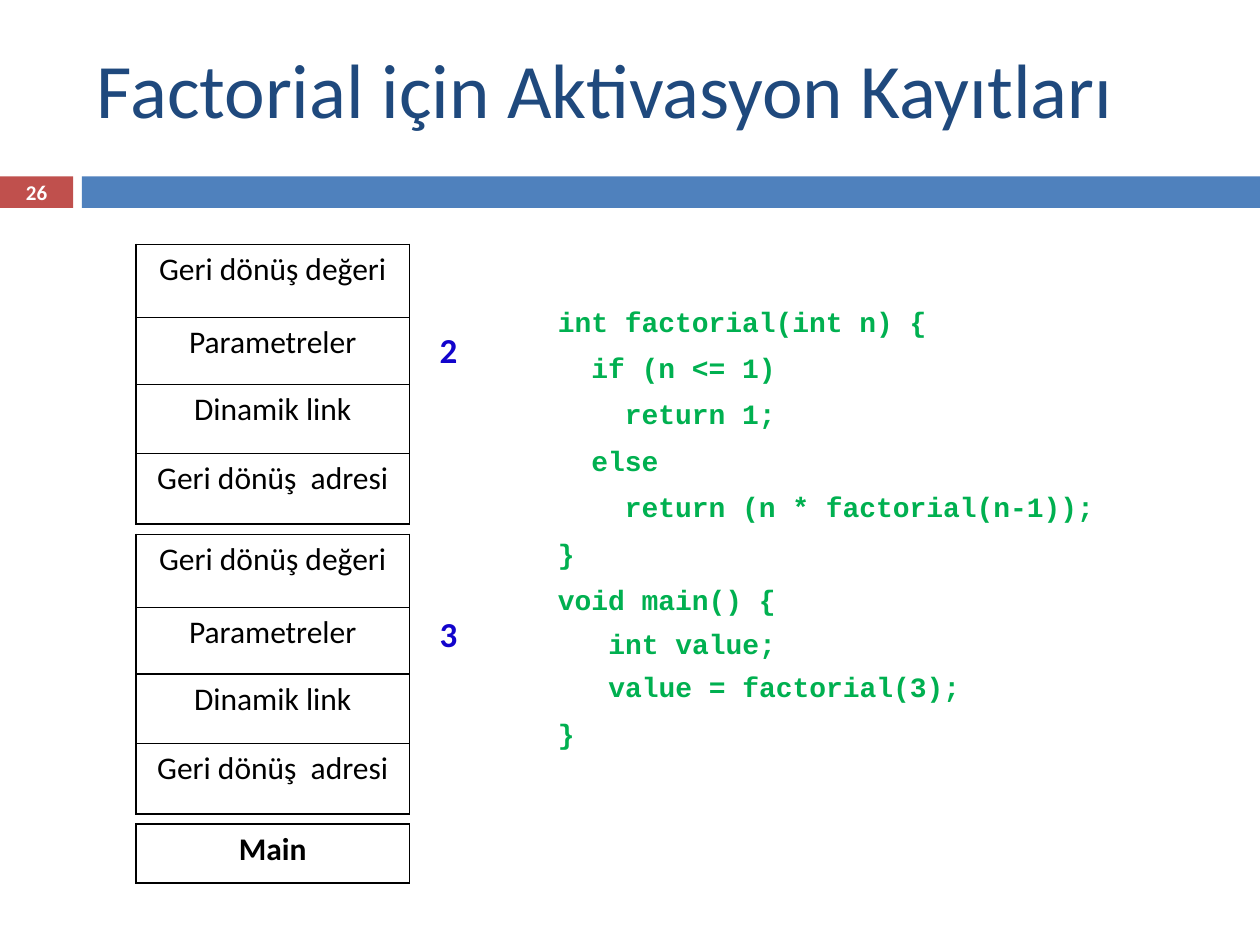
from dataclasses import dataclass

from lxml import etree
from pptx import Presentation
from pptx.dml.color import RGBColor
from pptx.enum.shapes import MSO_SHAPE
from pptx.enum.text import MSO_ANCHOR, PP_ALIGN
from pptx.oxml.ns import qn
from pptx.util import Inches, Pt

RECTANGLE = MSO_SHAPE.RECTANGLE
TOP, MIDDLE = MSO_ANCHOR.TOP, MSO_ANCHOR.MIDDLE
LEFT, CENTER = PP_ALIGN.LEFT, PP_ALIGN.CENTER


@dataclass(frozen=True)
class Theme:
    font: str = "Calibri"
    code_font: str = "Courier New"
    title: str = "1F497D"
    marker: str = "C0504D"
    band: str = "4F81BD"
    code: str = "00B050"
    argument: str = "1204CC"
    ink: str = "000000"
    paper: str = "FFFFFF"
    title_size: float = 44
    argument_size: float = 20
    record_size: float = 18
    code_size: float = 16
    number_size: float = 12
    code_line: float = 19.5
    border: float = 1


THEME = Theme()
WIDTH, HEIGHT = 10, 7.5
BAND_TOP, BAND_HEIGHT = 1.4, 0.25
MARKER_WIDTH, BAND_LEFT = 0.58, 0.65
RECORD_LEFT, RECORD_WIDTH = 1.08, 2.17
RECORD_TOP, RECORD_GAP = 1.94, 0.08
RECORD_ROWS = (0.58, 0.53, 0.55, 0.56)
MAIN_ROWS = (0.47,)
ARGUMENT_LEFT = 3.39

FIELDS = ("Geri dönüş değeri", "Parametreler", "Dinamik link", "Geri dönüş  adresi")
# Outline level and text of each code line
CODE = (
    (0, "int factorial(int n) {"),
    (0, "  if (n <= 1)"),
    (0, "    return 1;"),
    (0, "  else"),
    (0, "    return (n * factorial(n-1));"),
    (0, "}"),
    (0, "void main() {"),
    (1, "int value;"),
    (1, "value = factorial(3);"),
    (0, "}"),
)
# Left margin, first-line indent (inches) and space before (points) by level
CODE_LEVELS = ((0.35, -0.35, 7), (0.7, -0.3, 5.5))


def inches(box):
    return [Inches(length) for length in box]


def style(paragraph, size, color, bold=False, font=THEME.font, align=LEFT):
    paragraph.alignment = align
    paragraph.font.name = font
    paragraph.font.size = Pt(size)
    paragraph.font.bold = bold
    paragraph.font.color.rgb = RGBColor.from_string(color)


def add_frame(slide, box, anchor=TOP, wrap=True, top_inset=0.05):
    frame = slide.shapes.add_textbox(*inches(box)).text_frame
    frame.word_wrap = wrap
    frame.vertical_anchor = anchor
    frame.margin_top = Inches(top_inset)
    return frame


def add_label(slide, box, text, size, color, bold=False, align=LEFT, **frame_options):
    frame = add_frame(slide, box, **frame_options)
    frame.text = text
    style(frame.paragraphs[0], size, color, bold, align=align)


def add_bar(slide, box, color):
    bar = slide.shapes.add_shape(RECTANGLE, *inches(box))
    bar.shadow.inherit = False
    bar.fill.solid()
    bar.fill.fore_color.rgb = RGBColor.from_string(color)
    bar.line.fill.background()


def add_header(slide, box, title, number):
    """Place the title in the box, with the numbered band below it."""
    add_bar(slide, (0, BAND_TOP, MARKER_WIDTH, BAND_HEIGHT), THEME.marker)
    add_bar(slide, (BAND_LEFT, BAND_TOP, WIDTH - BAND_LEFT, BAND_HEIGHT), THEME.band)
    add_label(slide, box, title, THEME.title_size, THEME.title, top_inset=0.08)
    add_label(slide, (0, BAND_TOP, MARKER_WIDTH, BAND_HEIGHT), number,
              THEME.number_size, THEME.paper, bold=True, align=CENTER, anchor=MIDDLE)


def add_code(slide, box):
    frame = add_frame(slide, box, top_inset=0.08)
    frame.text = "\n".join(line for _, line in CODE)
    for index, (paragraph, (level, _)) in enumerate(zip(frame.paragraphs, CODE)):
        margin, indent, space = CODE_LEVELS[level]
        properties = paragraph._p.get_or_add_pPr()
        properties.set("marL", str(Inches(margin)))
        properties.set("indent", str(Inches(indent)))
        paragraph.level = level
        paragraph.line_spacing = Pt(THEME.code_line)
        paragraph.space_before = Pt(space if index else 0)
        style(paragraph, THEME.code_size, THEME.code, True, THEME.code_font)


def add_borders(cell):
    properties = cell._tc.get_or_add_tcPr()
    for side in ("a:lnL", "a:lnR", "a:lnT", "a:lnB"):
        line = etree.SubElement(properties, qn(side), w=str(Pt(THEME.border)))
        fill = etree.SubElement(line, qn("a:solidFill"))
        etree.SubElement(fill, qn("a:srgbClr"), val=THEME.ink)


def add_record(slide, top, fields, rows, bold=False):
    """Draw one activation record and return where the next one starts."""
    box = (RECORD_LEFT, top, RECORD_WIDTH, sum(rows))
    record = slide.shapes.add_table(len(rows), 1, *inches(box)).table
    record.first_row = record.horz_banding = False
    for index, (field, height) in enumerate(zip(fields, rows)):
        record.rows[index].height = Inches(height)
        cell = record.cell(index, 0)
        cell.text = field
        add_borders(cell)
        cell.fill.background()
        style(cell.text_frame.paragraphs[0], THEME.record_size, THEME.ink, bold,
              align=CENTER)
    return top + sum(rows) + RECORD_GAP


def add_stack(slide, top, arguments):
    """Stack a record for each (argument, label top), with main at the bottom."""
    for argument, label_top in arguments:
        top = add_record(slide, top, FIELDS, RECORD_ROWS)
        add_label(slide, (ARGUMENT_LEFT, label_top, 0.36, 0.44), argument,
                  THEME.argument_size, THEME.argument, bold=True, wrap=False)
    add_record(slide, top, ("Main",), MAIN_ROWS, bold=True)


def main():
    deck = Presentation()
    deck.slide_width, deck.slide_height = Inches(WIDTH), Inches(HEIGHT)
    slide = deck.slides.add_slide(deck.slide_layouts[6])
    add_header(slide, (0.67, 0.25, 8.92, 1.08), "Factorial için Aktivasyon Kayıtları", "26")
    add_code(slide, (4.33, 2.33, 5, 4.42))
    add_stack(slide, RECORD_TOP, (("2", 2.56), ("3", 4.81)))
    deck.save("out.pptx")


if __name__ == "__main__":
    main()
